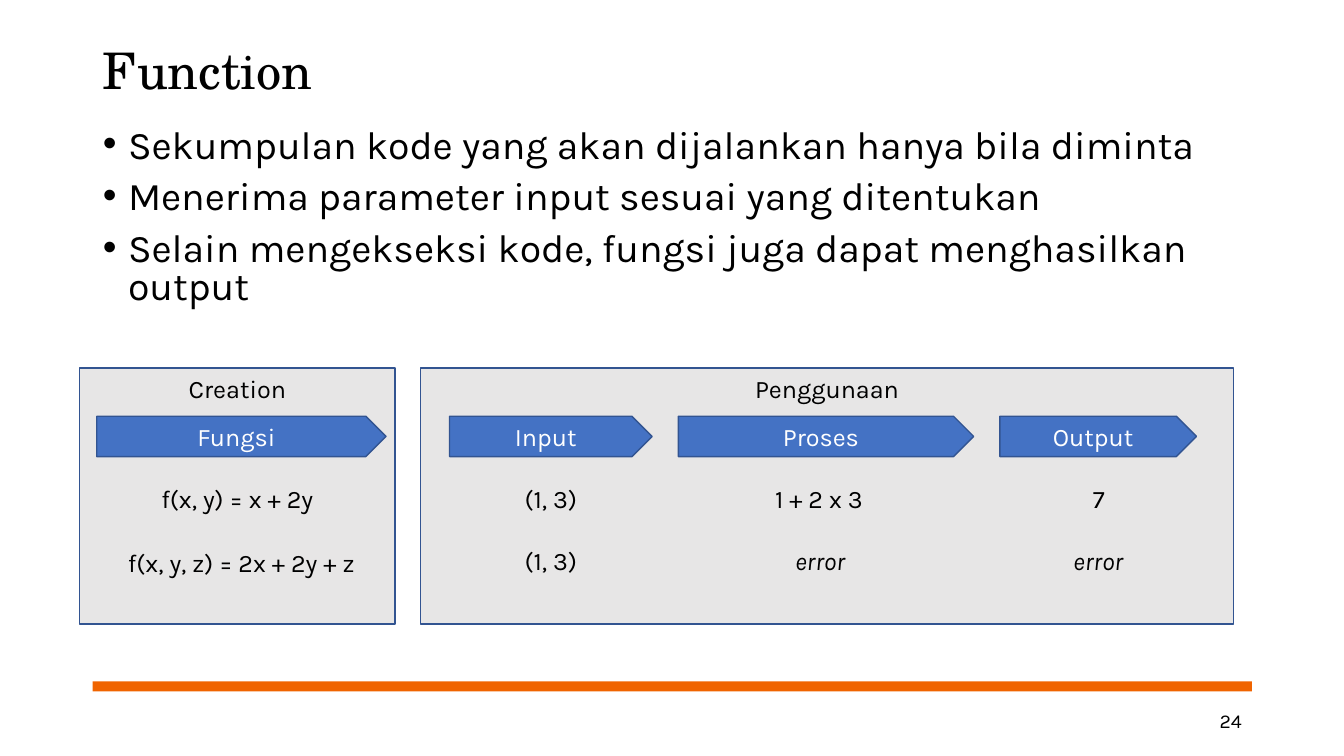
import pptx
import pptx.dml.color
import pptx.enum.shapes
import pptx.enum.text
import pptx.util

Pt = pptx.util.Pt
ALIGN = pptx.enum.text.PP_ALIGN
ANCHOR = pptx.enum.text.MSO_ANCHOR
SHAPE = pptx.enum.shapes.MSO_SHAPE
BODY_FONT = "Karla"
TITLE_FONT = "TeX Gyre Schola"

BULLETS = [
    "Sekumpulan kode yang akan dijalankan hanya bila diminta",
    "Menerima parameter input sesuai yang ditentukan",
    "Selain mengekseksi kode, fungsi juga dapat menghasilkan output",
]
PANELS = [("Penggunaan", 300.24, 581.04), ("Creation", 56.88, 225.36)]
STAGES = [
    ("Fungsi", 69.12, 206.64),
    ("Input", 321.12, 144.72),
    ("Proses", 484.56, 210.96),
    ("Output", 714.24, 140.4),
]
EXAMPLES = [
    ("f(x, y) = x + 2y", 105.12, 342, 128.88, False),
    ("(1, 3)", 366.48, 342, 54, False),
    ("1 + 2 x 3", 542.88, 342, 84.24, False),
    ("7", 772.56, 342, 24.48, False),
    ("f(x, y, z) = 2x + 2y + z", 79.92, 387.36, 185.04, False),
    ("(1, 3)", 366.48, 385.92, 54, False),
    ("error", 559.44, 385.92, 52.56, True),
    ("error", 758.16, 385.92, 52.56, True),
]


def color(value):
    """Return the colour for a hex string."""
    return pptx.dml.color.RGBColor.from_string(value)


def apply(target, formats):
    """Set each attribute named in formats on target."""
    for name, value in formats.items():
        setattr(target, name, value)


def place(shape, left, top, width, height):
    """Position a shape in points."""
    apply(shape, {"left": Pt(left), "top": Pt(top),
                  "width": Pt(width), "height": Pt(height)})


def write(shape, lines, size, font=BODY_FONT, text_color="000000", italic=False,
          frame=None, paragraph_format=None, space=0):
    """Fill a shape with formatted paragraphs."""
    text_frame = shape.text_frame
    text_frame.text = "\n".join(lines)
    apply(text_frame, {"word_wrap": True,
                       "auto_size": pptx.enum.text.MSO_AUTO_SIZE.NONE,
                       **(frame or {})})
    for index, paragraph in enumerate(text_frame.paragraphs):
        apply(paragraph, {"space_before": Pt(space if index else 0),
                          **(paragraph_format or {})})
        apply(paragraph.font, {"name": font, "size": Pt(size), "italic": italic})
        paragraph.font.color.rgb = color(text_color)


def add_box(slide, kind, bounds, fill, line=None):
    """Add a flat preset shape with an optional outline."""
    shape = slide.shapes.add_shape(kind, *map(Pt, bounds))
    shape.shadow.inherit = False
    shape.fill.solid()
    shape.fill.fore_color.rgb = color(fill)
    if line:
        shape.line.color.rgb = color(line)
        shape.line.width = Pt(1)
    else:
        shape.line.fill.background()
    return shape


def add_panel(slide, label, left, width):
    """Add a grey panel with a heading at its top."""
    panel = add_box(slide, SHAPE.RECTANGLE, (left, 262.8, width, 182.88),
                    "E7E6E6", "325491")
    write(panel, [label], 18, frame={"vertical_anchor": ANCHOR.TOP},
          paragraph_format={"alignment": ALIGN.CENTER})


def add_stage(slide, label, left, width):
    """Add a blue arrow naming one stage."""
    stage = add_box(slide, SHAPE.PENTAGON, (left, 297.36, width, 28.8),
                    "4472C4", "325491")
    write(stage, [label], 18, text_color="FFFFFF",
          frame={"vertical_anchor": ANCHOR.MIDDLE},
          paragraph_format={"alignment": ALIGN.CENTER})


def add_label(slide, text, bounds, size, alignment, italic=False, frame=None):
    """Add a text box with one line."""
    label = slide.shapes.add_textbox(*map(Pt, bounds))
    write(label, [text], size, italic=italic, frame=frame,
          paragraph_format={"alignment": alignment})


def fill_placeholders(slide):
    """Move and format the title and the bullet list."""
    title, body = slide.shapes.title, slide.placeholders[1]
    place(title, 66.24, 17.28, 828, 70.56)
    write(title, ["Function"], 36, TITLE_FONT,
          frame={"vertical_anchor": ANCHOR.MIDDLE},
          paragraph_format={"alignment": ALIGN.LEFT, "line_spacing": 0.9})
    place(body, 66.24, 88.56, 828, 146.16)
    write(body, BULLETS, 28, frame={"vertical_anchor": ANCHOR.TOP},
          paragraph_format={"line_spacing": 0.8}, space=10)
    for paragraph in body.text_frame.paragraphs:
        properties = paragraph._p.get_or_add_pPr()
        properties.set("marL", str(Pt(18)))
        properties.set("indent", str(Pt(-18)))


def main():
    """Build and save the slide."""
    presentation = pptx.Presentation()
    apply(presentation, {"slide_width": Pt(960), "slide_height": Pt(540)})
    slide = presentation.slides.add_slide(presentation.slide_layouts[1])
    fill_placeholders(slide)
    add_box(slide, SHAPE.RECTANGLE, (66.24, 486.72, 828, 7.2), "F06400")
    for panel in PANELS:
        add_panel(slide, *panel)
    for stage in STAGES:
        add_stage(slide, *stage)
    for text, left, top, width, italic in EXAMPLES:
        add_label(slide, text, (left, top, width, 28.8), 18, ALIGN.CENTER, italic,
                  {"word_wrap": False})
    add_label(slide, "24", (678.24, 500.4, 216, 28.8), 14, ALIGN.RIGHT,
              frame={"vertical_anchor": ANCHOR.MIDDLE})
    presentation.save("out.pptx")


if __name__ == "__main__":
    main()
